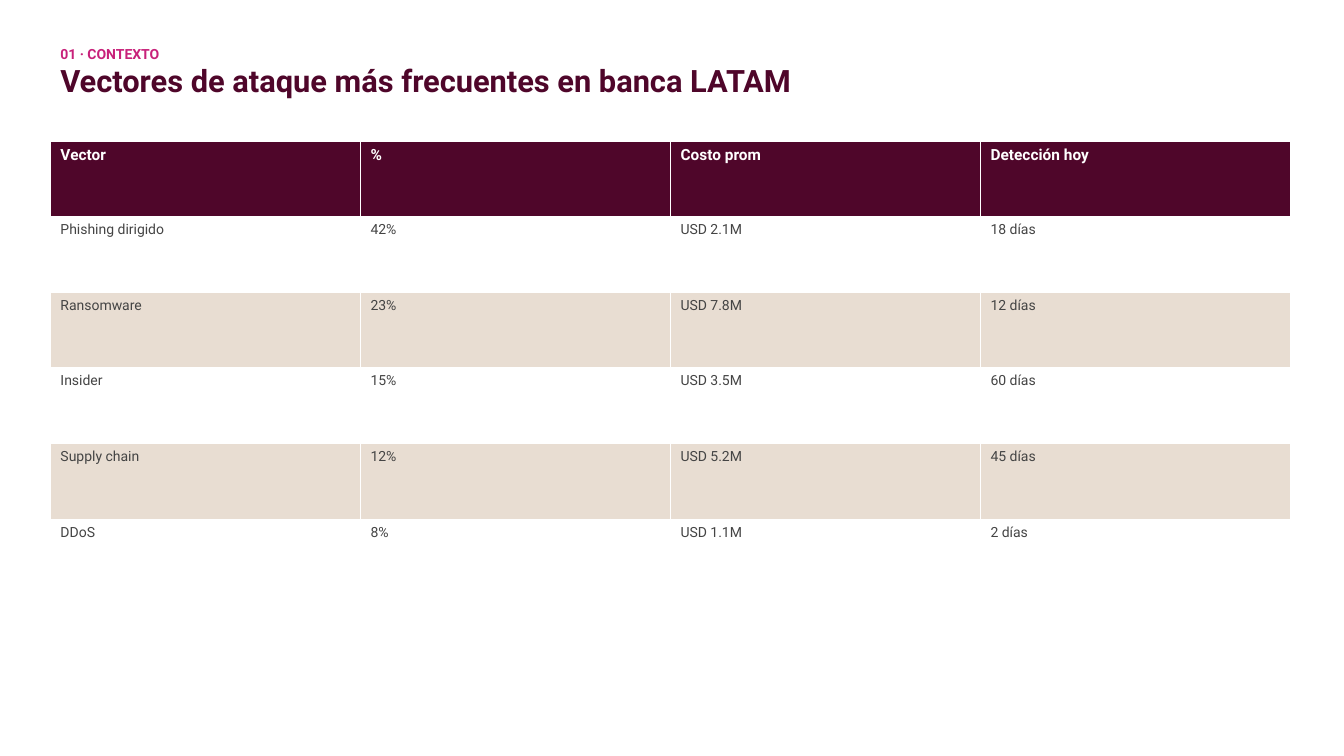
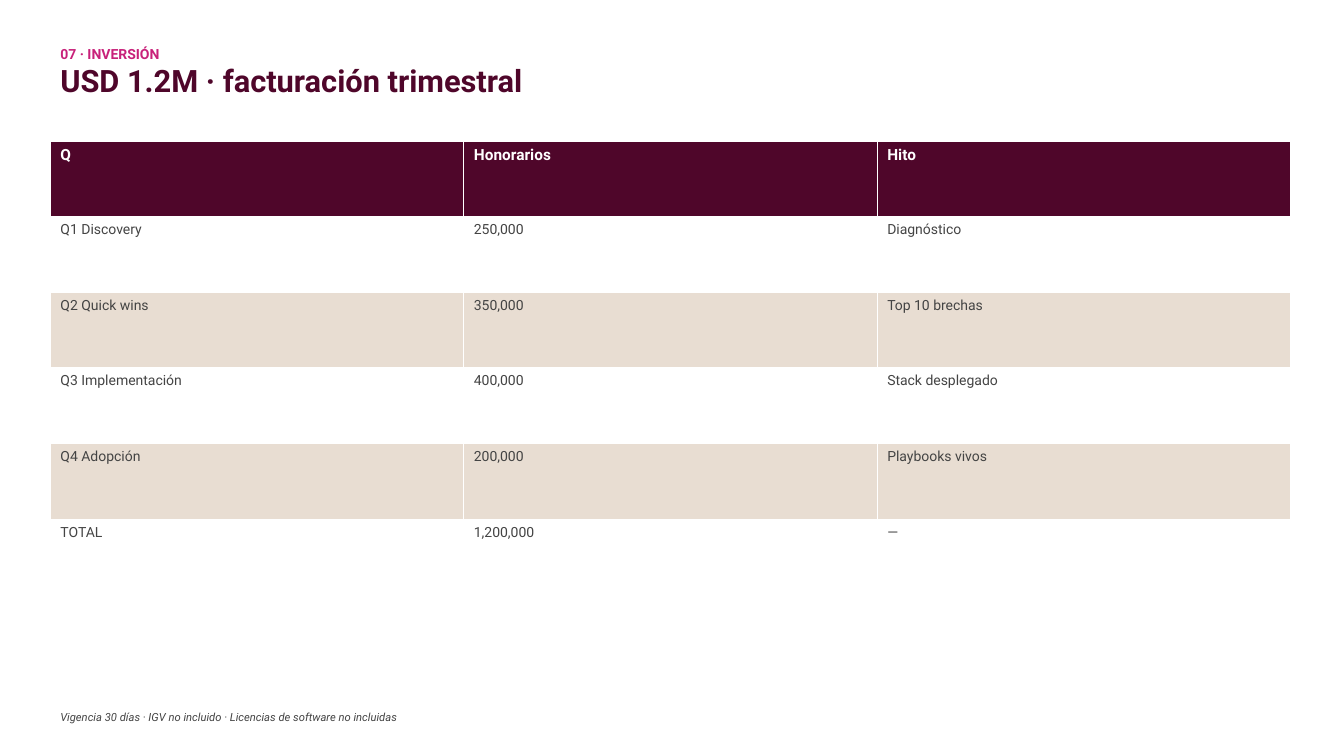
import pptx
import pptx.dml.color
import pptx.util

COLORS = {
    "plum": "4F062A",
    "magenta": "C8217A",
    "sand": "E8DDD2",
    "white": "FFFFFF",
    "gray": "444444",
}
FORMATS = {
    "kicker": {"size": 10, "bold": True, "color": "magenta"},
    "title": {"size": 22, "bold": True, "color": "plum"},
    "header": {"size": 11, "bold": True, "color": "white"},
    "body": {"size": 10, "bold": False, "color": "gray"},
    "footnote": {"size": 8, "italic": True, "color": "gray"},
}
FONT = "Roboto"
GRID = pptx.util.Inches(0.1)
LEFT, WIDTH = 5 * GRID, 123 * GRID
TITLE_TOP, TITLE_HEIGHT = 4 * GRID, 5 * GRID
TABLE_TOP, TABLE_HEIGHT = 14 * GRID, 45 * GRID
FOOTNOTE_TOP, FOOTNOTE_HEIGHT = 70 * GRID, 3 * GRID

PAGES = [
    {
        "kicker": "01 · CONTEXTO",
        "title": "Vectores de ataque más frecuentes en banca LATAM",
        "rows": [
            ["Vector", "%", "Costo prom", "Detección hoy"],
            ["Phishing dirigido", "42%", "USD 2.1M", "18 días"],
            ["Ransomware", "23%", "USD 7.8M", "12 días"],
            ["Insider", "15%", "USD 3.5M", "60 días"],
            ["Supply chain", "12%", "USD 5.2M", "45 días"],
            ["DDoS", "8%", "USD 1.1M", "2 días"],
        ],
        "footnote": None,
    },
    {
        "kicker": "07 · INVERSIÓN",
        "title": "USD 1.2M · facturación trimestral",
        "rows": [
            ["Q", "Honorarios", "Hito"],
            ["Q1 Discovery", "250,000", "Diagnóstico"],
            ["Q2 Quick wins", "350,000", "Top 10 brechas"],
            ["Q3 Implementación", "400,000", "Stack desplegado"],
            ["Q4 Adopción", "200,000", "Playbooks vivos"],
            ["TOTAL", "1,200,000", "—"],
        ],
        "footnote": "Vigencia 30 días · IGV no incluido · Licencias de software no incluidas",
    },
]


def write(para, text, style):
    span = para.add_run()
    span.text = text
    span.font.name = FONT
    for name, value in FORMATS[style].items():
        if name == "color":
            span.font.color.rgb = pptx.dml.color.RGBColor.from_string(COLORS[value])
        elif name == "size":
            span.font.size = pptx.util.Pt(value)
        else:
            setattr(span.font, name, value)


def add_text(page, top, height, lines):
    frame = page.shapes.add_textbox(LEFT, top, WIDTH, height).text_frame
    frame.word_wrap = True
    for index, (text, style) in enumerate(lines):
        para = frame.add_paragraph() if index else frame.paragraphs[0]
        write(para, text, style)


deck = pptx.Presentation()
deck.slide_width = pptx.util.Inches(13.33)
deck.slide_height = pptx.util.Inches(7.5)

for content in PAGES:
    page = deck.slides.add_slide(deck.slide_layouts[6])
    heading = [(content[style], style) for style in ("kicker", "title")]
    add_text(page, TITLE_TOP, TITLE_HEIGHT, heading)

    rows = content["rows"]
    table = page.shapes.add_table(
        len(rows), len(rows[0]), LEFT, TABLE_TOP, WIDTH, TABLE_HEIGHT
    ).table
    for row_index, row in enumerate(rows):
        style = "body" if row_index else "header"
        fill = ("sand" if row_index % 2 == 0 else "white") if row_index else "plum"
        for column_index, text in enumerate(row):
            cell = table.cell(row_index, column_index)
            cell.fill.solid()
            cell.fill.fore_color.rgb = pptx.dml.color.RGBColor.from_string(COLORS[fill])
            write(cell.text_frame.paragraphs[0], text, style)

    if content["footnote"]:
        add_text(page, FOOTNOTE_TOP, FOOTNOTE_HEIGHT, [(content["footnote"], "footnote")])

deck.save("out.pptx")
